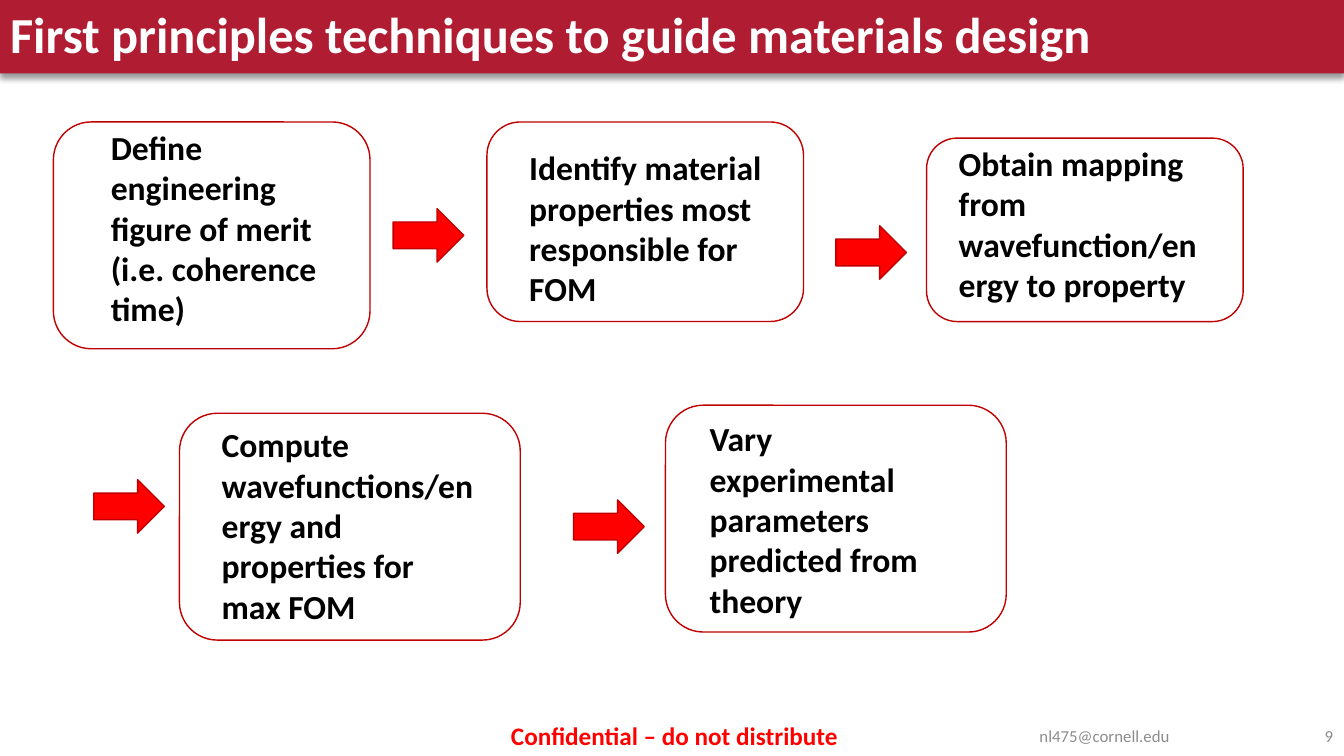
from lxml import etree
from pptx import Presentation
from pptx import util as u
from pptx.dml.color import RGBColor
from pptx.enum import shapes, text
from pptx.oxml import parse_xml

HUES = {"banner": "B01C32", "edge": "C00000", "arrow": "FF0000",
        "ink": "000000", "light": "FFFFFF", "muted": "8C8C8C"}
COLS, ROWS = 13.33, 7.5
NS = "http://schemas.openxmlformats.org/drawingml/2006/main"
SHADE = f"""<a:effectLst xmlns:a="{NS}">
<a:outerShdw blurRad="50800" dist="38100" dir="5400000" algn="t" rotWithShape="0">
<a:srgbClr val="000000"><a:alpha val="40000"/></a:srgbClr></a:outerShdw></a:effectLst>"""


def hue(name):
    """Return the named colour."""
    return RGBColor.from_string(HUES[name])


def grid(box):
    """Turn columns and rows of the one-inch grid into lengths."""
    return [u.Inches(n) for n in box]


def draw(slide, kind, box, fill=None, edge=None):
    """Add a flat preset shape."""
    shape = slide.shapes.add_shape(kind, *grid(box))
    shape.shadow.inherit = False
    if fill:
        shape.fill.solid()
        shape.fill.fore_color.rgb = hue(fill)
    else:
        shape.fill.background()
    if edge:
        shape.line.color.rgb = hue(edge)
        shape.line.width = u.Pt(1)
    else:
        shape.line.fill.background()
    return shape


def style(para, size, color, bold=False, align=text.PP_ALIGN.LEFT):
    """Set the font and alignment of a paragraph."""
    para.alignment = align
    font = para.font
    font.name, font.size, font.bold = "Calibri", u.Pt(size), bold
    font.color.rgb = hue(color)


def write(slide, box, words, size, color, bold=False,
          align=text.PP_ALIGN.LEFT, anchor=text.MSO_ANCHOR.TOP, wrap=True):
    """Add a text box with one paragraph."""
    frame = slide.shapes.add_textbox(*grid(box)).text_frame
    frame.word_wrap, frame.vertical_anchor = wrap, anchor
    frame.text = words
    style(frame.paragraphs[0], size, color, bold, align)


def header(slide, box, words):
    """Place the shaded banner and the title over it."""
    left, top, width, height = box
    banner = draw(slide, shapes.MSO_SHAPE.RECTANGLE, box, "banner")
    props = banner.element.spPr
    props.replace(props.find(f"{{{NS}}}effectLst"), parse_xml(SHADE))
    title = slide.shapes.title
    title.element.addprevious(banner.element)
    title.left, title.top, title.width, title.height = grid(
        (left, top + 0.01, width, height - 0.01))
    frame = title.text_frame
    frame.text = words
    frame.auto_size = text.MSO_AUTO_SIZE.NONE
    frame.vertical_anchor = text.MSO_ANCHOR.MIDDLE
    style(frame.paragraphs[0], 36, "light", True)
    frame.paragraphs[0].line_spacing = 0.9


def step(slide, box, words, inset):
    """Place a rounded box with its label, inset by left, top and width."""
    left, top, width, height = box
    dx, dy, span = inset
    draw(slide, shapes.MSO_SHAPE.ROUNDED_RECTANGLE, box, edge="edge")
    write(slide, (left + dx, top + dy, span, height - dy), words, 24, "ink", True)


def flow(slide, box, steps, arrows):
    """Place the steps and arrows relative to the flow area."""
    left, top = box[:2]
    for (x, y, width, height), words, inset in steps:
        step(slide, (left + x, top + y, width, height), words, inset)
    for x, y in arrows:
        draw(slide, shapes.MSO_SHAPE.RIGHT_ARROW,
             (left + x, top + y, 0.7, 0.53), "arrow", "edge")


def footer(slide, box):
    """Place the notice, the contact and the page number."""
    left, top, width, height = box
    mid = text.MSO_ANCHOR.MIDDLE
    write(slide, (left + 4.97, top, 3.47, height),
          "Confidential – do not distribute", 18, "arrow", True, wrap=False)
    write(slide, (left + 9.3, top, 3.31, height), "nl475@cornell.edu",
          12, "muted", align=text.PP_ALIGN.CENTER, anchor=mid)
    write(slide, (left + width - 0.72, top, 0.71, height), "9",
          12, "muted", align=text.PP_ALIGN.RIGHT, anchor=mid)


STEPS = [
    ((0, 0, 3.14, 2.25), "Define engineering figure of merit (i.e. coherence time)",
     (0.47, 0, 2.38)),
    ((4.3, 0, 3.14, 1.98), "Identify material properties most responsible for FOM",
     (0.32, 0.2, 2.71)),
    ((8.66, 0.16, 3.14, 1.82), "Obtain mapping from wavefunction/energy to property",
     (0.22, 0, 2.71)),
    ((1.25, 2.89, 3.38, 2.25), "Compute wavefunctions/energy and properties for max FOM",
     (0.32, 0.06, 2.71)),
    ((6.07, 2.81, 3.38, 2.25), "Vary experimental parameters predicted from theory",
     (0.34, 0.08, 2.71)),
]
ARROWS = [(3.37, 0.86), (7.76, 1.03), (0.4, 3.55), (5.16, 3.75)]


def main():
    """Build and save the slide."""
    deck = Presentation()
    deck.slide_width, deck.slide_height = grid((COLS, ROWS))
    slide = deck.slides.add_slide(deck.slide_layouts[5])
    header(slide, (0, 0, COLS, 0.73),
           "First principles techniques to guide materials design")
    flow(slide, (0.53, 1.21, 11.8, 5.14), STEPS, ARROWS)
    footer(slide, (0, 7.1, COLS, 0.4))
    deck.save("out.pptx")


if __name__ == "__main__":
    main()
